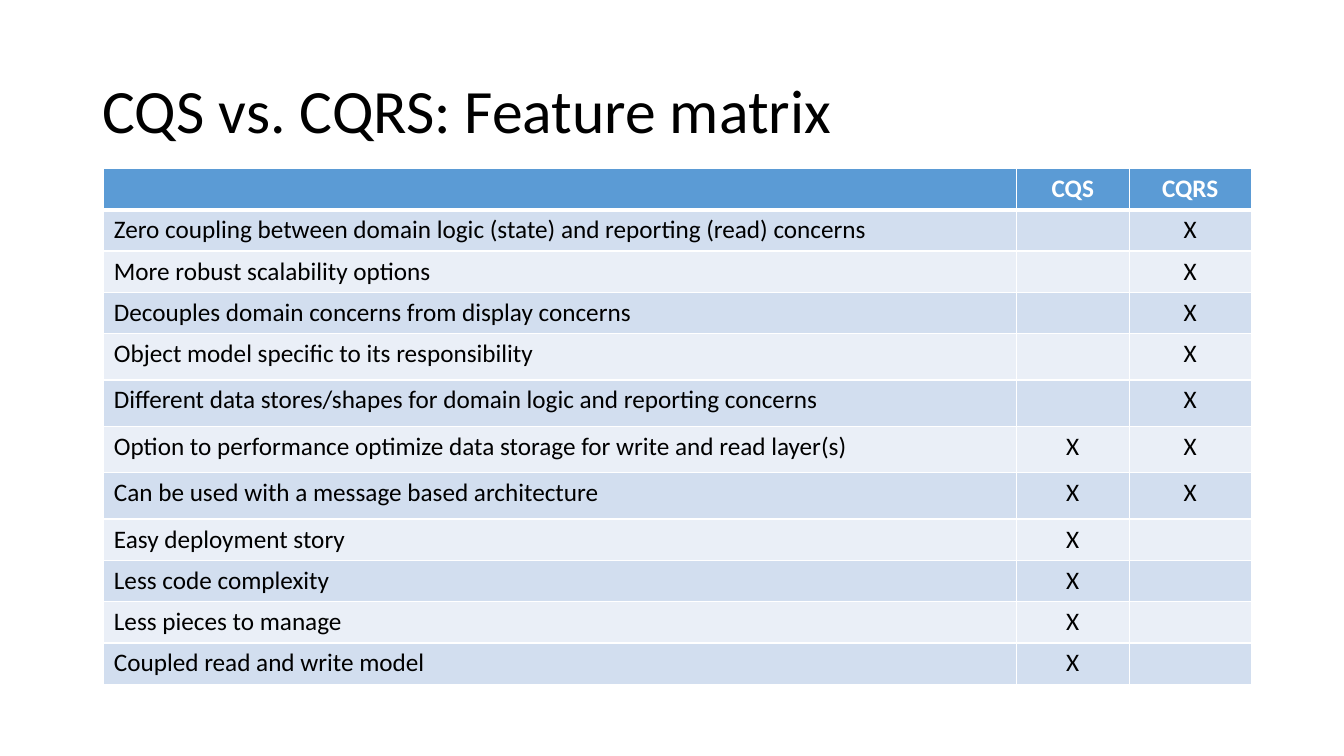
from lxml.etree import SubElement
from pptx import Presentation
from pptx.dml.color import RGBColor
from pptx.enum.text import MSO_ANCHOR, PP_ALIGN
from pptx.oxml.ns import qn
from pptx.util import Inches, Pt

FEATURES = [
    ("Zero coupling between domain logic (state) and reporting (read) concerns", "", "X"),
    ("More robust scalability options", "", "X"),
    ("Decouples domain concerns from display concerns", "", "X"),
    ("Object model specific to its responsibility", "", "X"),
    ("Different data stores/shapes for domain logic and reporting concerns", "", "X"),
    ("Option to performance optimize data storage for write and read layer(s)", "X", "X"),
    ("Can be used with a message based architecture", "X", "X"),
    ("Easy deployment story", "X", ""),
    ("Less code complexity", "X", ""),
    ("Less pieces to manage", "X", ""),
    ("Coupled read and write model", "X", ""),
]
COLUMN_WIDTHS = [9.05, 1.12, 1.21]
ROW_HEIGHTS = [0.41] * 4 + [0.46] * 4 + [0.41] * 4


def color(value):
    return RGBColor.from_string(value)


class SlideBuilder:
    font = "Calibri"
    ink = "000000"
    paper = "FFFFFF"
    header_fill = "5B9BD5"
    bands = ("D2DEEF", "EAEFF7")

    def __init__(self, slide):
        self.slide = slide

    def add_run(self, paragraph, text, size, ink, bold=False):
        run = paragraph.add_run()
        run.text = text
        run.font.name = self.font
        run.font.size = Pt(size)
        run.font.bold = bold
        run.font.color.rgb = color(ink)

    def add_title(self, text, left, top, width, height):
        box = self.slide.shapes.add_textbox(
            Inches(left), Inches(top), Inches(width), Inches(height))
        frame = box.text_frame
        frame.word_wrap = True
        frame.vertical_anchor = MSO_ANCHOR.MIDDLE
        paragraph = frame.paragraphs[0]
        paragraph.line_spacing = 0.9
        self.add_run(paragraph, text, 44, self.ink)

    def add_borders(self, cell, top, bottom):
        properties = cell._tc.get_or_add_tcPr()
        for side, points in (("L", 1), ("R", 1), ("T", top), ("B", bottom)):
            line = SubElement(properties, qn(f"a:ln{side}"), w=str(Pt(points)))
            fill = SubElement(line, qn("a:solidFill"))
            SubElement(fill, qn("a:srgbClr"), val=self.paper)

    def style_cell(self, cell, text, row, column):
        header = row == 0
        self.add_borders(cell, 3 if row == 1 else 1, 3 if header else 1)
        cell.fill.solid()
        cell.fill.fore_color.rgb = color(
            self.header_fill if header else self.bands[(row - 1) % 2])
        paragraph = cell.text_frame.paragraphs[0]
        paragraph.alignment = PP_ALIGN.CENTER if column else PP_ALIGN.LEFT
        if text:
            self.add_run(paragraph, text, 18, self.paper if header else self.ink, header)

    def add_matrix(self, rows, left, top, widths, heights):
        table = self.slide.shapes.add_table(
            len(rows), len(widths), Inches(left), Inches(top),
            Inches(sum(widths)), Inches(sum(heights))).table
        for column, width in zip(table.columns, widths):
            column.width = Inches(width)
        for row, height in zip(table.rows, heights):
            row.height = Inches(height)
        for row_index, texts in enumerate(rows):
            for column_index, text in enumerate(texts):
                self.style_cell(table.cell(row_index, column_index),
                                text, row_index, column_index)


def main():
    presentation = Presentation()
    presentation.slide_width = Inches(13.33)
    presentation.slide_height = Inches(7.5)
    builder = SlideBuilder(presentation.slides.add_slide(presentation.slide_layouts[6]))
    builder.add_title("CQS vs. CQRS: Feature matrix", 0.92, 0.4, 11.5, 1.45)
    builder.add_matrix([("", "CQS", "CQRS")] + FEATURES, 1.03, 1.67,
                       COLUMN_WIDTHS, ROW_HEIGHTS)
    presentation.save("out.pptx")


if __name__ == "__main__":
    main()
